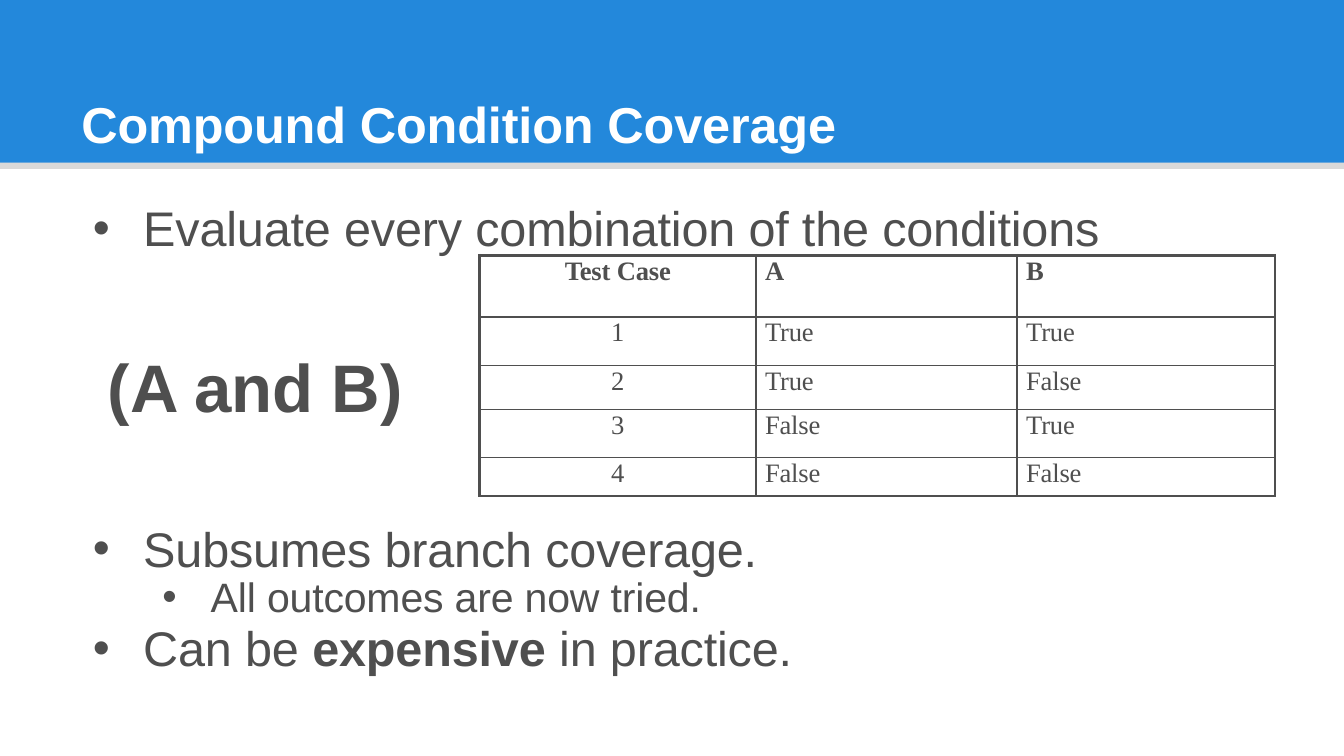
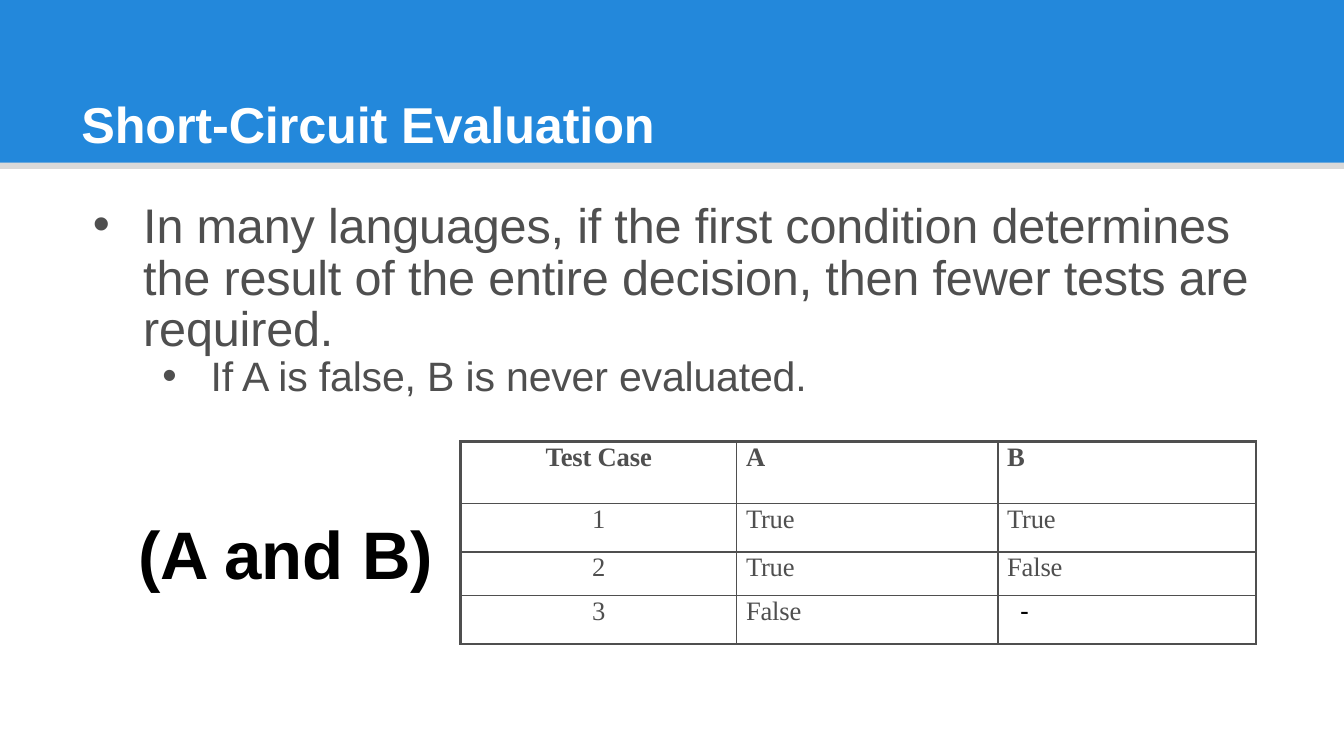
from dataclasses import dataclass
from lxml.etree import SubElement
from pptx import Presentation
from pptx.dml.color import RGBColor
from pptx.enum.shapes import MSO_SHAPE
from pptx.enum.text import MSO_ANCHOR, MSO_AUTO_SIZE, PP_ALIGN
from pptx.oxml.ns import qn
from pptx.util import Cm, Pt

BLUE, INK, WHITE, BLACK = "2388DB", "4F4F4F", "FFFFFF", "000000"
SANS, SERIF = "Arial", "Times New Roman"
WIDTH, HEIGHT = 33.87, 19.05
BAND_H, STRIP_H = 4.1, 0.16
COLS = (6.96, 6.58, 6.5)
ROWS = (1.56, 1.22, 1.1, 1.22, 0.97)
HEADER = ("Test Case", "A", "B")
THICK, THIN = 2.25, 1


@dataclass(frozen=True)
class Run:
    text: str
    bold: bool = False
    color: str = INK


@dataclass(frozen=True)
class Para:
    runs: tuple[Run, ...]
    size: float
    margin: float
    hang: float = 0
    level: int = 0
    before: float = 0
    line: float | None = None


@dataclass(frozen=True)
class Grid:
    left: float
    top: float
    rows: tuple[tuple[str, ...], ...]
    closed: bool


@dataclass(frozen=True)
class Page:
    title: str
    body_top: float
    body_height: float
    paras: tuple[Para, ...]
    grid: Grid


def point(*runs: Run, line: float | None = None) -> Para:
    return Para(runs, 34.7, 1.32, 1.27, line=line)


def subpoint(text: str, line: float) -> Para:
    return Para((Run(text),), 29.3, 3.02, 1.22, level=1, line=line)


def formula(color: str, margin: float, before: float) -> Para:
    return Para((Run("(A and B)", True, color),), 48, margin, before=before)


PAGES = (
    Page(
        "Compound Condition Coverage", 5.0, 11.9,
        (
            point(Run("Evaluate every combination of the conditions")),
            formula(INK, 0.43, 63.5),
            Para((Run("Subsumes branch coverage."),), 34.7, 1.32, 1.27, before=68, line=39.7),
            subpoint("All outcomes are now tried.", 31.3),
            point(Run("Can be "), Run("expensive", True), Run(" in practice."), line=39.7),
        ),
        Grid(12.09, 6.43, (
            HEADER,
            ("1", "True", "True"),
            ("2", "True", "False"),
            ("3", "False", "True"),
            ("4", "False", "False"),
        ), True),
    ),
    Page(
        "Short-Circuit Evaluation", 5.08, 9.8,
        (
            point(Run("In many languages, if the first condition determines the result of "
                      "the entire decision, then fewer tests are required."), line=36.9),
            subpoint("If A is false, B is never evaluated.", 31),
            formula(BLACK, 1.19, 80),
        ),
        Grid(11.61, 11.13, (
            HEADER,
            ("1", "True", "True"),
            ("2", "True", "False"),
            ("3", "False", "-"),
        ), False),
    ),
)


def rgb(value: str) -> RGBColor:
    return RGBColor.from_string(value)


def add_run(p, run: Run, size: float, font: str) -> None:
    r = p.add_run()
    r.text = run.text
    r.font.size, r.font.name, r.font.bold = Pt(size), font, run.bold
    r.font.color.rgb = rgb(run.color)
    r.font._element.set("spc", "-10")


def place(sp, left: float, top: float, width: float, height: float):
    sp.left, sp.top, sp.width, sp.height = Cm(left), Cm(top), Cm(width), Cm(height)
    tf = sp.text_frame
    tf.margin_left = tf.margin_right = tf.margin_top = tf.margin_bottom = 0
    tf.word_wrap, tf.auto_size = True, MSO_AUTO_SIZE.NONE
    tf.vertical_anchor = MSO_ANCHOR.TOP
    return tf


def add_para(p, para: Para) -> None:
    p.level, p.alignment = para.level, PP_ALIGN.LEFT
    p.space_before, p.space_after = Pt(para.before), Pt(0)
    p.line_spacing = Pt(para.line) if para.line else 1.0
    pPr = p._p.get_or_add_pPr()
    pPr.set("marL", str(Cm(para.margin)))
    pPr.set("indent", str(-Cm(para.hang)))
    if para.hang:
        SubElement(pPr, qn("a:buChar")).set("char", "•")
    else:
        SubElement(pPr, qn("a:buNone"))
    for run in para.runs:
        add_run(p, run, para.size, SANS)


def add_band(s, layout, top: float, height: float, color: str, alpha: int = 100) -> None:
    sp = s.shapes.add_shape(MSO_SHAPE.RECTANGLE, 0, Cm(top), Cm(WIDTH), Cm(height))
    sp.shadow.inherit = False
    sp.fill.solid()
    sp.fill.fore_color.rgb = rgb(color)
    sp.line.fill.background()
    if alpha < 100:
        clr = sp._element.spPr.find(".//" + qn("a:srgbClr"))
        SubElement(clr, qn("a:alpha")).set("val", str(alpha * 1000))
    layout.shapes.element.append(sp._element)


def set_border(cell, side: str, width: float) -> None:
    ln = SubElement(cell._tc.get_or_add_tcPr(), qn(f"a:ln{side}"))
    ln.set("w", str(Pt(width)))
    fill = SubElement(ln, qn("a:solidFill"))
    SubElement(fill, qn("a:srgbClr")).set("val", INK)


def add_grid(s, grid: Grid) -> None:
    n = len(grid.rows)
    heights = ROWS[:n]
    table = s.shapes.add_table(n, len(COLS), Cm(grid.left), Cm(grid.top),
                               Cm(sum(COLS)), Cm(sum(heights))).table
    table.first_row = table.horz_banding = False
    for col, width in zip(table.columns, COLS):
        col.width = Cm(width)
    for i, (values, height) in enumerate(zip(grid.rows, heights)):
        table.rows[i].height = Cm(height)
        for j, text in enumerate(values):
            cell = table.cell(i, j)
            outer = {"L": j == 0, "R": j == len(COLS) - 1,
                     "T": i == 0, "B": grid.closed and i == n - 1}
            for side, edge in outer.items():
                set_border(cell, side, THICK if edge else THIN)
            cell.fill.solid()
            cell.fill.fore_color.rgb = rgb(WHITE)
            dash = text == "-"
            cell.margin_left = Cm(0.56 if dash else 0.23 if j else 0)
            cell.margin_right = cell.margin_bottom = 0
            cell.margin_top = Cm(0.03)
            p = cell.text_frame.paragraphs[0]
            p.alignment = PP_ALIGN.LEFT if j else PP_ALIGN.CENTER
            add_run(p, Run(text, i == 0, BLACK if dash else INK), 19, SANS if dash else SERIF)


def add_page(prs, layout, page: Page):
    s = prs.slides.add_slide(layout)
    p = place(s.shapes.title, 2.05, 2.34, 25.6, 1.57).paragraphs[0]
    p.alignment = PP_ALIGN.LEFT
    add_run(p, Run(page.title, True, WHITE), 36, SANS)
    add_grid(s, page.grid)
    tf = place(s.placeholders[1], 2.29, page.body_top, 29.39, page.body_height)
    for i, para in enumerate(page.paras):
        add_para(tf.add_paragraph() if i else tf.paragraphs[0], para)
    return s


def main() -> None:
    prs = Presentation()
    prs.slide_width, prs.slide_height = Cm(WIDTH), Cm(HEIGHT)
    layout = prs.slide_layouts[1]
    slides = [add_page(prs, layout, page) for page in PAGES]
    add_band(slides[0], layout, 0, BAND_H, BLUE)
    add_band(slides[0], layout, BAND_H, STRIP_H, BLACK, 15)
    prs.save("out.pptx")


if __name__ == "__main__":
    main()
